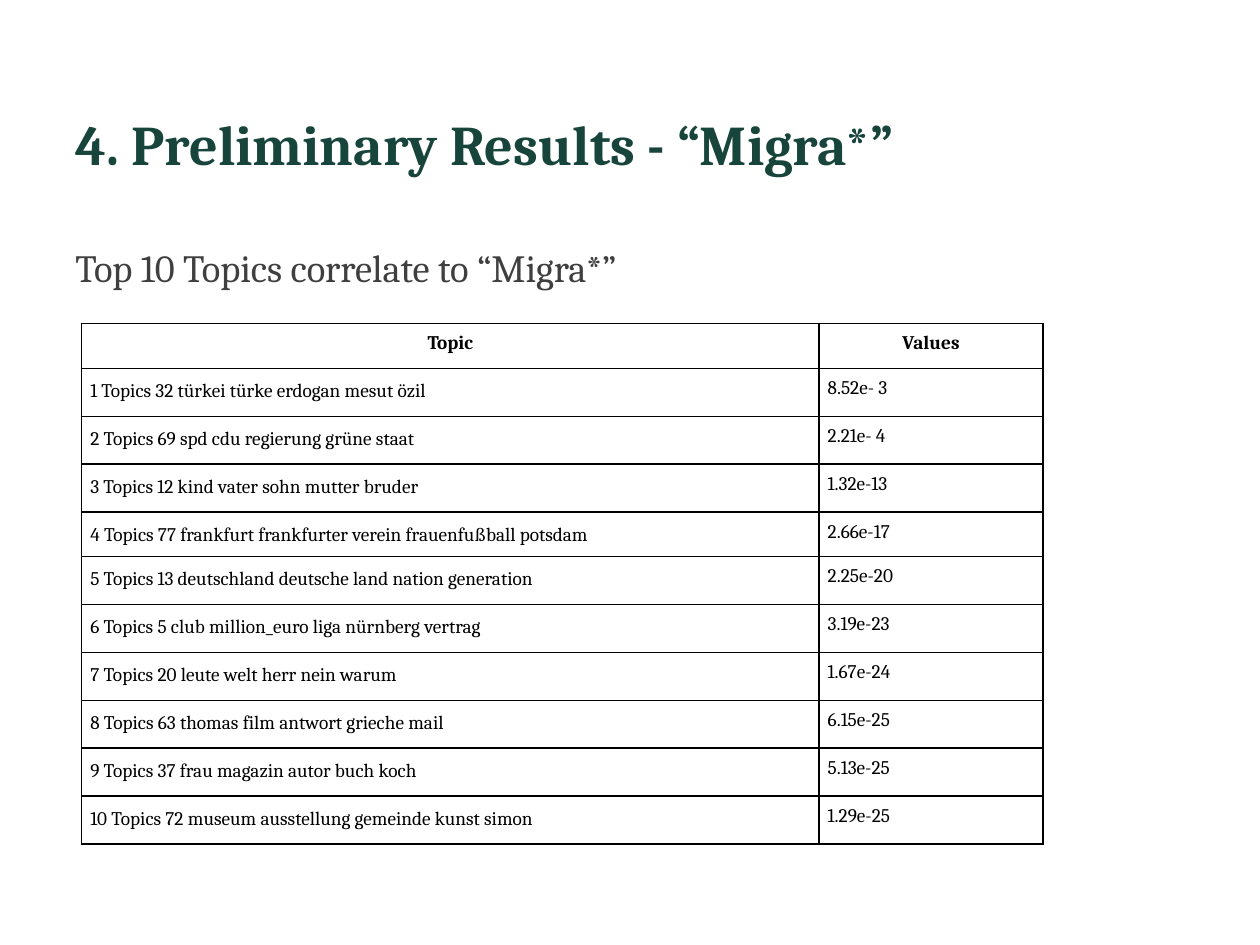
import pptx
import pptx.util
import pptx.dml.color
import pptx.enum.text
import pptx.oxml
import pptx.oxml.ns
from lxml import etree

Pt = pptx.util.Pt
CENTER = pptx.enum.text.PP_ALIGN.CENTER

# Content
TITLE = "4. Preliminary Results - “Migra*”"
SUBTITLE = "Top 10 Topics correlate to “Migra*”"
HEADER = ("Topic", "Values")
TOPICS = [
    ("1 Topics 32 türkei türke erdogan mesut özil", "8.52e- 3"),
    ("2 Topics 69 spd cdu regierung grüne staat", "2.21e- 4"),
    ("3 Topics 12 kind vater sohn mutter bruder", "1.32e-13"),
    ("4 Topics 77 frankfurt frankfurter verein frauenfußball potsdam", "2.66e-17"),
    ("5 Topics 13 deutschland deutsche land nation generation", "2.25e-20"),
    ("6 Topics 5 club million_euro liga nürnberg vertrag", "3.19e-23"),
    ("7 Topics 20 leute welt herr nein warum", "1.67e-24"),
    ("8 Topics 63 thomas film antwort grieche mail", "6.15e-25"),
    ("9 Topics 37 frau magazin autor buch koch", "5.13e-25"),
    ("10 Topics 72 museum ausstellung gemeinde kunst simon", "1.29e-25"),
]

THEME = {
    "font": "Cambria",
    "title": (32, "18453B", True),
    "subtitle": (22, "3F3F3F", False),
    "header": (11, "000000", True),
    "cell": (11, "000000", False),
    "border": "000000",
}

# Layout in points
SLIDE_SIZE = (720, 540)
TITLE_BOX = (36, 59, 648, 77)
SUBTITLE_BOX = (36, 136, 648, 36)
TABLE_LEFT, TABLE_TOP = 46.6, 184.8
COLUMN_WIDTHS = (421.4, 128)
ROW_HEIGHT = 27.4
SHORT_ROWS = {0: 25.7, 4: 25.4}
CELL_MARGIN = 5
BORDER_WIDTH = 1


def style(paragraph, role):
    size, color, bold = THEME[role]
    font = paragraph.font
    font.name, font.size, font.bold = THEME["font"], Pt(size), bold
    font.color.rgb = pptx.dml.color.RGBColor.from_string(color)


def add_text(slide, box, text, role):
    frame = slide.shapes.add_textbox(*map(Pt, box)).text_frame
    frame.word_wrap = True
    frame.text = text
    style(frame.paragraphs[0], role)


def add_borders(cell):
    properties = cell._tc.get_or_add_tcPr()
    for position, side in enumerate(("lnL", "lnR", "lnT", "lnB")):
        line = etree.Element(pptx.oxml.ns.qn(f"a:{side}"), w=str(Pt(BORDER_WIDTH)))
        fill = etree.SubElement(line, pptx.oxml.ns.qn("a:solidFill"))
        etree.SubElement(fill, pptx.oxml.ns.qn("a:srgbClr"), val=THEME["border"])
        properties.insert(position, line)


def fill_cell(cell, text, row, column):
    cell.fill.background()
    cell.margin_left = cell.margin_right = Pt(CELL_MARGIN)
    cell.margin_top = cell.margin_bottom = Pt(CELL_MARGIN)
    cell.text = text
    paragraph = cell.text_frame.paragraphs[0]
    if row == 0:
        paragraph.alignment = CENTER
    elif column == 0:
        paragraph.line_spacing = 1.15
    style(paragraph, "cell" if row else "header")
    add_borders(cell)


def add_topic_table(slide):
    rows = [HEADER] + TOPICS
    heights = [SHORT_ROWS.get(row, ROW_HEIGHT) for row in range(len(rows))]
    table = slide.shapes.add_table(
        len(rows), len(HEADER), Pt(TABLE_LEFT), Pt(TABLE_TOP),
        Pt(sum(COLUMN_WIDTHS)), Pt(sum(heights))).table
    table.horz_banding = False
    for column, width in enumerate(COLUMN_WIDTHS):
        table.columns[column].width = Pt(width)
    for row, texts in enumerate(rows):
        table.rows[row].height = Pt(heights[row])
        for column, text in enumerate(texts):
            fill_cell(table.cell(row, column), text, row, column)


def main():
    deck = pptx.Presentation()
    deck.slide_width, deck.slide_height = map(Pt, SLIDE_SIZE)
    slide = deck.slides.add_slide(deck.slide_layouts[6])

    # Headings
    add_text(slide, TITLE_BOX, TITLE, "title")
    add_text(slide, SUBTITLE_BOX, SUBTITLE, "subtitle")

    # Topics and their values
    add_topic_table(slide)
    deck.save("out.pptx")


if __name__ == "__main__":
    main()
